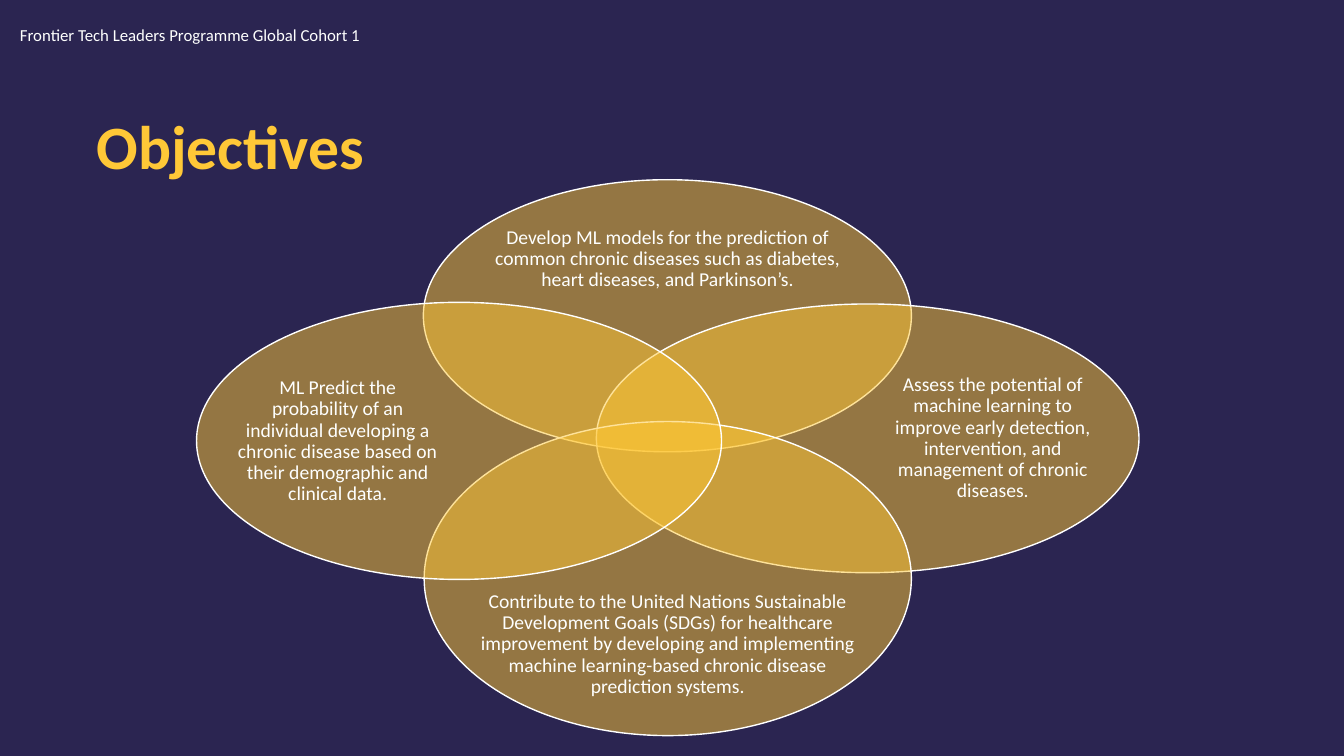
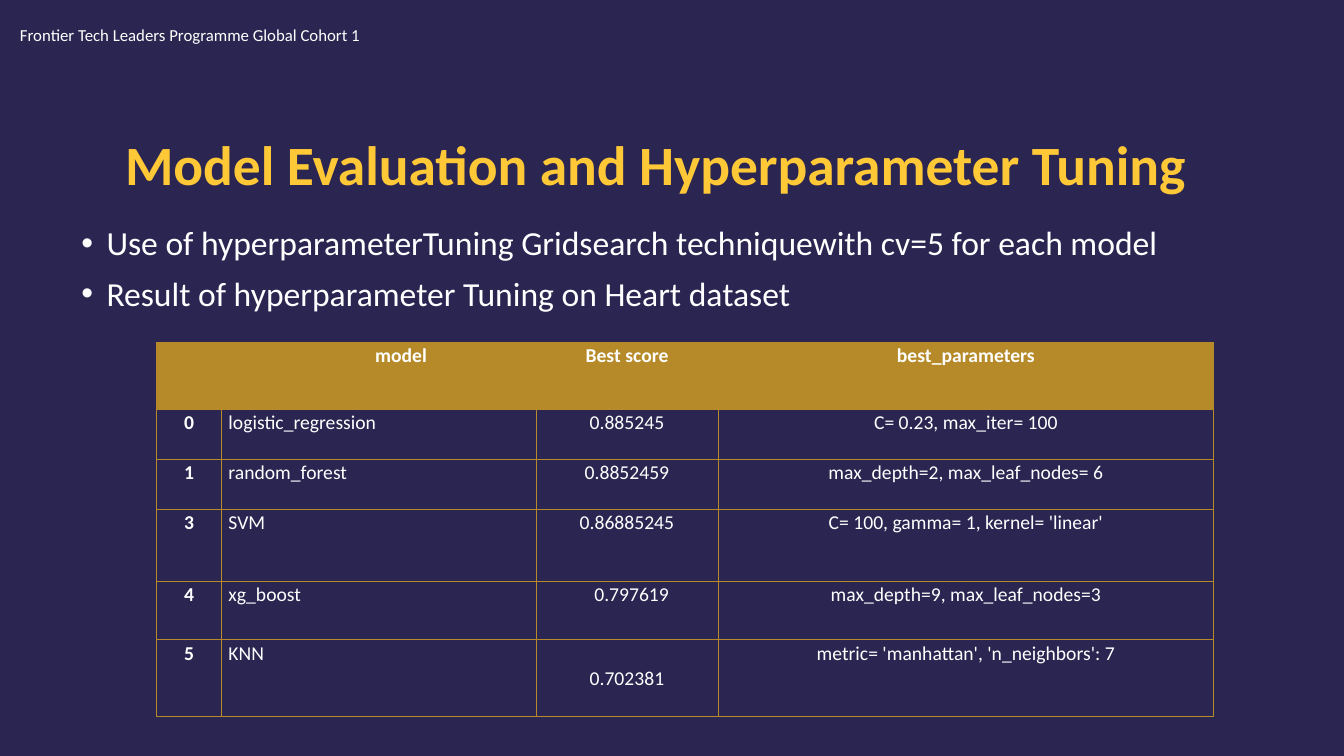
from lxml import etree
from pptx import Presentation
from pptx.dml.color import RGBColor
from pptx.enum.shapes import MSO_SHAPE
from pptx.enum.text import MSO_ANCHOR, PP_ALIGN
from pptx.oxml.ns import qn
from pptx.util import Inches, Pt

OVAL = MSO_SHAPE.OVAL
TOP, MIDDLE = MSO_ANCHOR.TOP, MSO_ANCHOR.MIDDLE
LEFT, CENTER = PP_ALIGN.LEFT, PP_ALIGN.CENTER

WIDTH, HEIGHT = Inches(13.33), Inches(7.5)
COLS = 160
FONT = "Calibri"
NAVY, GOLD, OCHRE = "2B2551", "FFC837", "B68A29"
AMBER, WHITE, PALE = "FEC736", "FFFFFF", "FEFFFE"
BANNER = "Frontier Tech Leaders Programme Global Cohort 1"

GOALS = [
    ((27, 0, 58.1, 32.4), (33.7, 4.3, 44.8, 10.3),
     "Develop ML models for the prediction of common chronic diseases such as "
     "diabetes, heart diseases, and Parkinson’s."),
    ((47.6, 14.8, 64.6, 32), (82.4, 18.5, 24.8, 24.6),
     "Assess the potential of machine learning to improve early detection, "
     "intervention, and management of chronic diseases."),
    ((27.1, 28.8, 58, 37.4), (33.8, 49.4, 44.6, 11.9),
     "Contribute to the United Nations Sustainable Development Goals (SDGs) for "
     "healthcare improvement by developing and implementing machine "
     "learning-based chronic disease prediction systems."),
    ((0, 14.6, 62.5, 33), (4.8, 18.5, 24, 25.3),
     "ML Predict the probability of an individual developing a chronic disease "
     "based on their demographic and clinical data."),
]

POINTS = [
    "Use of hyperparameterTuning Gridsearch techniquewith cv=5 for each model",
    "Result of hyperparameter Tuning on Heart dataset",
]

SCORES = [
    ("", "model", "Best score", "best_parameters"),
    ("0", "logistic_regression", "0.885245", "C= 0.23, max_iter= 100"),
    ("1", "random_forest", "0.8852459", "max_depth=2, max_leaf_nodes= 6"),
    ("3", "SVM", "0.86885245", "C= 100, gamma= 1, kernel= 'linear'"),
    ("4", "xg_boost", "0.797619", "max_depth=9, max_leaf_nodes=3"),
    ("5", "KNN", "0.702381", "metric= 'manhattan', 'n_neighbors': 7"),
]
SPANS = (7.8, 37.4, 21.7, 59)
ROWS = (7.9, 6, 6, 8.5, 7, 9.1)
INSETS = {(0, 1): (6.1, 0), (4, 2): (1.9, 0), (5, 2): (0.8, 3)}


def color(code):
    return RGBColor.from_string(code)


def grid(*cells):
    return [round(n * WIDTH / COLS) for n in cells]


def shift(box, part):
    return (box[0] + part[0], box[1] + part[1], part[2], part[3])


def write(para, words, size, tint, bold=False, align=LEFT, gap=0.9):
    para.alignment = align
    para.line_spacing = gap
    run = para.add_run()
    run.text = words
    font = run.font
    font.name, font.size, font.bold = FONT, Pt(size), bold
    font.color.rgb = color(tint)


def text_box(slide, box, anchor=TOP, inset=True):
    frame = slide.shapes.add_textbox(*grid(*box)).text_frame
    frame.word_wrap = True
    frame.vertical_anchor = anchor
    if not inset:
        frame.margin_left = frame.margin_right = 0
        frame.margin_top = frame.margin_bottom = 0
    return frame


def add_page(deck, title, box, size):
    slide = deck.slides.add_slide(deck.slide_layouts[6])
    head = text_box(slide, box, MIDDLE)
    write(head.paragraphs[0], title, size, GOLD, bold=True)
    band = text_box(slide, (1.2, 2.3, 66.5, 3.6))
    write(band.paragraphs[0], BANNER, 12, PALE, gap=1.0)
    return slide


def add_venn(slide, box):
    for ring, label, words in GOALS:
        oval = slide.shapes.add_shape(OVAL, *grid(*shift(box, ring)))
        oval.shadow.inherit = False
        oval.fill.solid()
        oval.fill.fore_color.rgb = color(AMBER)
        paint = oval._element.spPr.find(qn("a:solidFill"))[0]
        etree.SubElement(paint, qn("a:alpha"), val="50000")
        oval.line.color.rgb = color(WHITE)
        oval.line.width = Pt(1)
        frame = text_box(slide, shift(box, label), MIDDLE, inset=False)
        write(frame.paragraphs[0], words, 14, PALE, align=CENTER)


def add_list(slide, box):
    frame = text_box(slide, box)
    for i, words in enumerate(POINTS):
        para = frame.add_paragraph() if i else frame.paragraphs[0]
        write(para, words, 24, WHITE)
        para.space_before = Pt(10)
        props = para._p.get_or_add_pPr()
        props.set("marL", str(Inches(0.25)))
        props.set("indent", str(-Inches(0.25)))
        etree.SubElement(props, qn("a:buFont"), typeface="Arial")
        etree.SubElement(props, qn("a:buChar"), char="•")


def add_edges(cell):
    props = cell._tc.get_or_add_tcPr()
    for i, side in enumerate(("lnL", "lnR", "lnT", "lnB")):
        edge = etree.Element(qn("a:" + side), w=str(Pt(0.5)))
        fill = etree.SubElement(edge, qn("a:solidFill"))
        etree.SubElement(fill, qn("a:srgbClr"), val=OCHRE)
        props.insert(i, edge)


def fill_cell(cell, row, col):
    if row:
        cell.fill.background()
    else:
        cell.fill.solid()
        cell.fill.fore_color.rgb = color(OCHRE)
    add_edges(cell)
    left, top = grid(*INSETS.get((row, col), (0.8, 0)))
    cell.margin_left, cell.margin_top = left, top
    cell.margin_right, cell.margin_bottom = grid(0.8, 0)
    words = SCORES[row][col]
    if words:
        write(cell.text_frame.paragraphs[0], words, 14,
              PALE if row else WHITE, bold=row == 0 or col == 0,
              align=LEFT if row and col == 1 else CENTER, gap=1.07)


def add_scores(slide, left, top):
    box = grid(left, top, sum(SPANS), sum(ROWS))
    table = slide.shapes.add_table(len(ROWS), len(SPANS), *box).table
    table.horz_banding = False
    for part, size in zip(table.columns, grid(*SPANS)):
        part.width = size
    for part, size in zip(table.rows, grid(*ROWS)):
        part.height = size
    for row in range(len(ROWS)):
        for col in range(len(SPANS)):
            fill_cell(table.cell(row, col), row, col)


def main():
    deck = Presentation()
    deck.slide_width, deck.slide_height = WIDTH, HEIGHT
    back = deck.slide_master.background.fill
    back.solid()
    back.fore_color.rgb = color(NAVY)

    goals = add_page(deck, "Objectives", (10.3, 11.8, 132.7, 12.1), 44)
    add_venn(goals, (23.4, 21.4, 112.2, 66.2))

    tuning = add_page(deck, "Model Evaluation and Hyperparameter Tuning",
                      (13.7, 13.9, 132.7, 12.1), 39.6)
    add_list(tuning, (8.5, 26.4, 137.8, 14))
    add_scores(tuning, 18.6, 40.8)

    deck.save("out.pptx")


if __name__ == "__main__":
    main()
